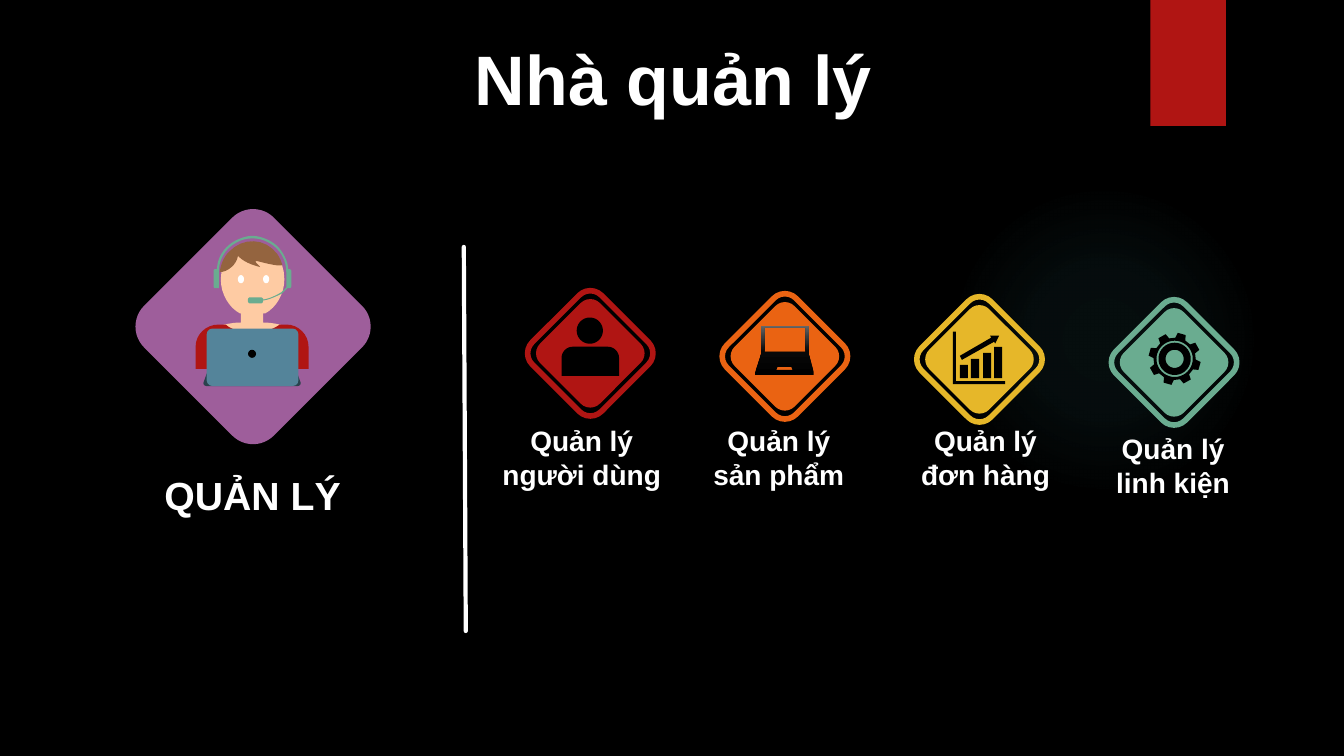
"""Build the manager slide: one manager portrait and four management areas."""
import math

import pptx
import pptx.dml.color
import pptx.enum.shapes
import pptx.enum.text
import pptx.oxml
import pptx.oxml.ns
import pptx.util

PX = 9144
COLORS = {
    "black": "000000", "white": "FFFFFF", "red": "B01513", "orange": "EA6312",
    "yellow": "E6B729", "green": "6AAC90", "purple": "9E5E9B", "skin": "FECBA3",
    "hair": "94643F", "base": "2A424D", "lid": "54849A", "glow": "50B9C1",
    "ink": "080808", "gray": "666666",
}
TITLE = "Nhà quản lý"
ROLE = "QUẢN LÝ"
AREAS = [
    ("Quản lý\nngười dùng", "red", (486, 415, 182, 77)),
    ("Quản lý sản phẩm", "orange", (696, 415, 153, 77)),
    ("Quản lý đơn hàng", "yellow", (891, 415, 173, 77)),
    ("Quản lý\nlinh kiện", "green", (1086, 423, 155, 77)),
]
GLOW_STOPS = [(0, "glow", 7), (36, "glow", 6), (69, "glow", 0)]
LAPTOP_STOPS = [(0, "black", 100), (48, "ink", 100), (100, "gray", 100)]
CIRCULAR = '<a:path {} path="circle"><a:fillToRect l="50000" t="50000" r="50000" b="50000"/></a:path>'
UPWARD = '<a:lin {} ang="16200000" scaled="0"/>'

# Pairs are line points; groups of six are Bézier control points and an end.
FACE = [[(250, 240), (268, 240, 282, 256, 282, 277), (282, 292, 274, 305, 263, 311),
         (261, 311), (261, 320), (264, 320), (277, 321, 286, 324, 286, 327),
         (286, 331, 270, 334, 250, 334), (230, 334, 214, 331, 214, 327),
         (214, 324, 223, 321, 236, 320), (239, 320), (239, 311), (238, 311),
         (227, 305, 219, 292, 219, 277), (219, 256, 233, 240, 250, 240)]]
SHIRT = [[(217, 322), (224, 322), (225, 323), (230, 327, 240, 330, 250, 330),
          (261, 330, 270, 327, 276, 323), (277, 322), (284, 322),
          (296, 322, 306, 332, 306, 344), (306, 366), (194, 366), (194, 344),
          (194, 332, 204, 322, 217, 322)]]
HAIR = [[(218, 270), (219, 262, 222, 255, 227, 250), (241, 235, 263, 236, 275, 252),
         (277, 255, 279, 259, 280, 263), (277, 265, 259, 260, 255, 259),
         (251, 259, 256, 262, 258, 265), (255, 264, 244, 262, 236, 254),
         (235, 262, 226, 270, 218, 270)]]
KEYBOARD = [[(205, 366), (295, 366), (297, 366, 299, 368, 298, 370), (294, 381),
             (294, 382, 293, 383, 291, 383), (209, 383), (208, 383, 207, 382, 206, 381),
             (202, 370), (201, 368, 203, 366, 205, 366)]]
HEADSET = [[(250, 234), (256, 234, 262, 236, 268, 239), (277, 244, 282, 252, 285, 261),
            (286, 267), (287, 267), (288, 267, 289, 268, 289, 269), (289, 284),
            (289, 285, 288, 286, 287, 286), (285, 286), (280, 291),
            (274, 294, 268, 297, 262, 298), (261, 298), (261, 300, 260, 301, 259, 301),
            (248, 301), (247, 301, 246, 300, 246, 299), (246, 297),
            (246, 296, 247, 295, 248, 295), (259, 295), (260, 295, 260, 296, 261, 296),
            (261, 297), (262, 297), (268, 296, 274, 293, 279, 290), (284, 285), (284, 270),
            (284, 258, 278, 247, 267, 241), (257, 235, 244, 235, 234, 241),
            (223, 247, 217, 258, 217, 270), (217, 286), (214, 286),
            (212, 286, 212, 285, 212, 284), (212, 269), (212, 268, 212, 267, 214, 267),
            (215, 267), (216, 261), (218, 252, 224, 244, 233, 239),
            (239, 236, 245, 234, 250, 234)]]
BODY = [(568, 344), (603, 344), (609, 344, 614, 349, 614, 355), (614, 373), (557, 373),
        (557, 355), (557, 349, 562, 344, 568, 344)]
LAPTOP = [[(771, 364), (770, 367), (786, 367), (785, 364)],
          [(758, 325), (758, 349), (799, 349), (799, 325)],
          [(755, 323), (802, 323), (802, 351), (807, 369), (807, 372), (749, 372),
           (749, 369), (755, 351)]]
ARROW = [(982, 333), (991, 333), (987, 341), (986, 339), (954, 357), (952, 353), (983, 335)]
AXES = [(945, 329), (948, 329), (948, 378), (997, 378), (997, 381), (945, 381)]
BARS = [[(x, top), (x + 8, top), (x + 8, 375), (x, 375)]
        for x, top in [(952, 362), (963, 356), (975, 350), (986, 344)]]


def polar(center, radius, degrees):
    angle = math.radians(degrees)
    return center[0] + radius * math.sin(angle), center[1] - radius * math.cos(angle)


def ellipse(x, y, rx, ry):
    return [(x + rx * math.cos(math.tau * k / 40), y + ry * math.sin(math.tau * k / 40))
            for k in range(40)]


def gear(center, teeth=8):
    rim = [polar(center, radius, 16 + 360 / teeth * tooth + turn)
           for tooth in range(teeth)
           for radius, turn in [(21, -14), (26, -9), (26, 9), (21, 14)]]
    return [rim] + [ellipse(*center, radius, radius) for radius in (18, 16, 9)]


def flatten(contour, steps=8):
    points = [contour[0]]
    for node in contour[1:]:
        if len(node) == 2:
            points.append(node)
            continue
        curve = [points[-1], node[:2], node[2:4], node[4:]]
        for k in range(1, steps + 1):
            t = k / steps
            weights = [(1 - t) ** 3, 3 * t * (1 - t) ** 2, 3 * t * t * (1 - t), t ** 3]
            points.append(tuple(sum(w * p[axis] for w, p in zip(weights, curve))
                                for axis in (0, 1)))
    return [(x * PX, y * PX) for x, y in points]


def emu(*lengths):
    return [round(length * PX) for length in lengths]


def rgb(color):
    return pptx.dml.color.RGBColor.from_string(COLORS[color])


def paint(shape, fill=None, line=None, width=4):
    shape.shadow.inherit = False
    if fill:
        shape.fill.solid()
        shape.fill.fore_color.rgb = rgb(fill)
    else:
        shape.fill.background()
    if line:
        shape.line.color.rgb = rgb(line)
        shape.line.width = pptx.util.Pt(width)
    else:
        shape.line.fill.background()
    return shape


def preset(slide, kind, box, fill=None, line=None, corner=None, turn=0):
    shape = slide.shapes.add_shape(getattr(pptx.enum.shapes.MSO_SHAPE, kind), *emu(*box))
    if corner:
        shape.adjustments[0] = corner
    shape.rotation = turn
    return paint(shape, fill, line)


def diamond(slide, center, side, **look):
    box = (center[0] - side / 2, center[1] - side / 2, side, side)
    return preset(slide, "ROUNDED_RECTANGLE", box, corner=0.16, turn=315, **look)


def outline(slide, contours, fill):
    first, *others = [flatten(contour) for contour in contours]
    builder = slide.shapes.build_freeform(*first[0], scale=1.0)
    builder.add_line_segments(first[1:], close=True)
    for points in others:
        builder.move_to(*points[0])
        builder.add_line_segments(points[1:], close=True)
    return paint(builder.convert_to_shape(), fill)


def blend(shape, stops, direction):
    shape.fill.gradient()
    gradient = shape.element.spPr.find(pptx.oxml.ns.qn("a:gradFill"))
    for child in list(gradient):
        gradient.remove(child)
    names = pptx.oxml.ns.nsdecls("a")
    marks = "".join(f'<a:gs pos="{at * 1000}"><a:srgbClr val="{COLORS[color]}">'
                    f'<a:alpha val="{alpha * 1000}"/></a:srgbClr></a:gs>'
                    for at, color, alpha in stops)
    gradient.append(pptx.oxml.parse_xml(f"<a:gsLst {names}>{marks}</a:gsLst>"))
    gradient.append(pptx.oxml.parse_xml(direction.format(names)))


def write(shape, text, box, size, before=0):
    shape.left, shape.top, shape.width, shape.height = emu(*box)
    frame = shape.text_frame
    frame.text = text
    frame.word_wrap = True
    frame.auto_size = pptx.enum.text.MSO_AUTO_SIZE.NONE
    frame.vertical_anchor = pptx.enum.text.MSO_ANCHOR.MIDDLE
    for paragraph in frame.paragraphs:
        paragraph.alignment = pptx.enum.text.PP_ALIGN.CENTER
        paragraph.space_before = pptx.util.Pt(before)
        font = paragraph.runs[0].font
        font.name, font.size, font.bold = "Arial", pptx.util.Pt(size), True
        font.color.rgb = rgb("white")


def main():
    deck = pptx.Presentation()
    deck.slide_width, deck.slide_height = pptx.util.Inches(13.33), pptx.util.Inches(7.5)
    slide = deck.slides.add_slide(deck.slide_layouts[5])
    slide.background.fill.solid()
    slide.background.fill.fore_color.rgb = rgb("black")
    blend(preset(slide, "OVAL", (941, 183, 308, 308)), GLOW_STOPS, CIRCULAR)
    preset(slide, "RECTANGLE", (1141, 0, 75, 125), "red")
    write(slide.shapes.title, TITLE, (35, 37, 1266, 79), 50, before=10)

    diamond(slide, (251, 324), 182, fill="purple")
    for index, (label, color, box) in enumerate(AREAS):
        center = (585.5 + 193 * index, 350.5 + 3 * index)
        diamond(slide, center, 97, line=color)
        diamond(slide, center, 84, fill=color)
        write(slide.shapes.add_textbox(0, 0, 0, 0), label, box, 20)
    write(slide.shapes.add_textbox(0, 0, 0, 0), ROLE, (97, 462, 307, 57), 28)

    divider = slide.shapes.add_connector(
        pptx.enum.shapes.MSO_CONNECTOR.STRAIGHT, *emu(460, 245, 462, 626))
    divider.line.color.rgb = rgb("white")
    divider.line.width = pptx.util.Pt(3)
    divider.line._get_or_add_ln().set("cap", "rnd")
    divider.element.spPr.append(pptx.oxml.parse_xml(
        f'<a:effectLst {pptx.oxml.ns.nsdecls("a")}/>'))

    eyes = [ellipse(x, 277, 3, 4) for x in (239, 264)]
    for part, color in [(FACE, "skin"), (SHIRT, "red"), (eyes, "white"), (HAIR, "hair")]:
        outline(slide, part, color)
    outline(slide, KEYBOARD, "base").rotation = 180
    preset(slide, "ROUNDED_RECTANGLE", (205, 326, 91, 57), "lid", corner=0.1)
    preset(slide, "OVAL", (246, 347, 8, 8), "black")
    outline(slide, HEADSET, "green")

    outline(slide, [BODY, ellipse(585, 328, 13, 13)], "black")
    blend(outline(slide, LAPTOP, "black"), LAPTOP_STOPS, UPWARD)
    outline(slide, BARS + [ARROW, AXES], "black")
    outline(slide, gear((1165, 356)), "black")
    deck.save("out.pptx")


if __name__ == "__main__":
    main()
